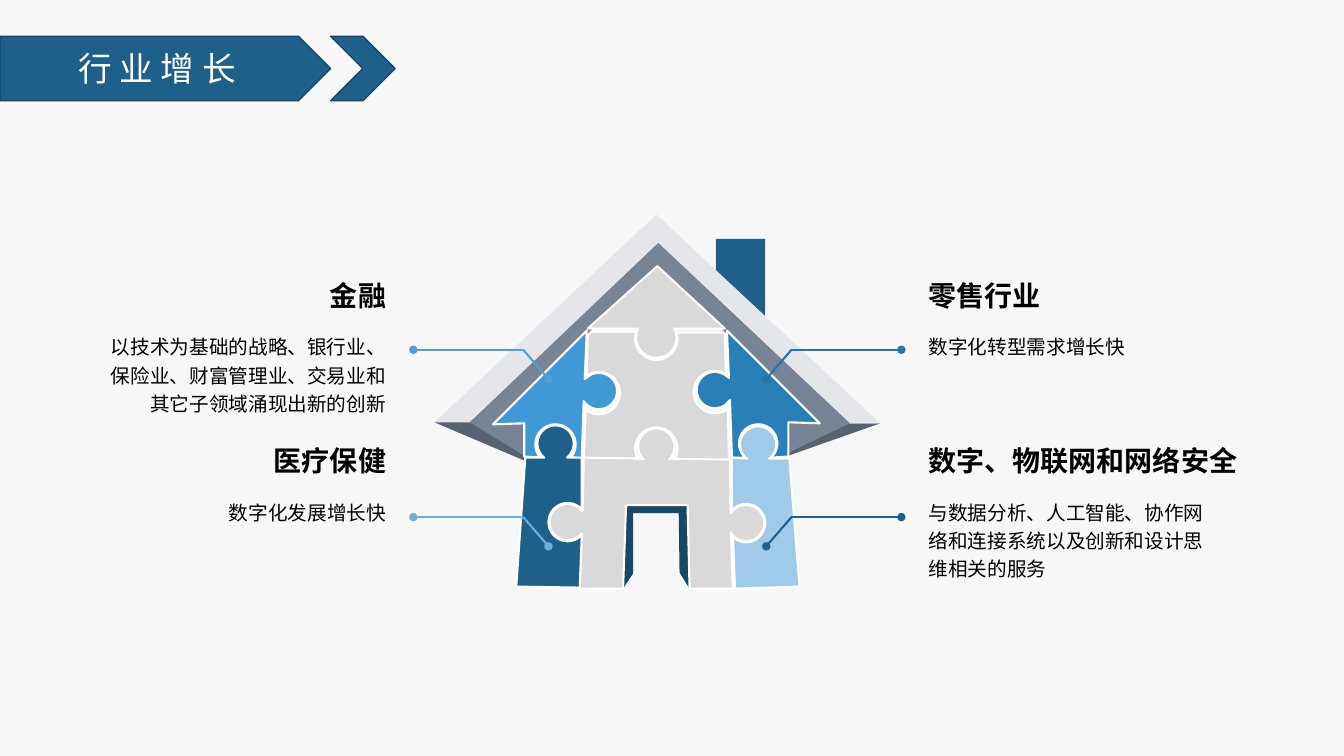
from dataclasses import dataclass
from math import cos, radians, sin

from lxml.etree import SubElement
from pptx import Presentation
from pptx.dml.color import RGBColor
from pptx.enum.shapes import MSO_CONNECTOR as Link, MSO_SHAPE as Preset
from pptx.enum.text import MSO_ANCHOR as Anchor, MSO_AUTO_SIZE as Fit, PP_ALIGN as Align
from pptx.oxml.ns import qn
from pptx.util import Inches, Pt


@dataclass(frozen=True)
class Theme:
    font: str = "Noto Sans CJK SC"
    banner_size: int = 24
    title_size: int = 20
    body_size: int = 14
    piece_line: float = 1.5
    banner_line: float = 1
    paper: str = "F7F7F7"
    ink: str = "000000"
    white: str = "FFFFFF"
    navy: str = "1F608B"
    edge: str = "174767"
    door: str = "174868"
    blue: str = "2980B9"
    azure: str = "4098D4"
    pale: str = "9FCBE9"
    grey: str = "D9D9D9"
    eave: str = "586371"
    roof: str = "E4E6EA"
    rafter: str = "778495"
    speck: str = "9E857F"


@dataclass(frozen=True)
class Knob:
    """Round tab of a jigsaw piece: `gap` is half its open angle, `turn` is 1 for clockwise."""
    x: float
    y: float
    radius: float
    facing: int
    turn: int
    gap: int

    def points(self, steps=32):
        reach = 180 - self.gap
        for step in range(steps + 1):
            angle = radians(self.facing + self.turn * reach * (2 * step / steps - 1))
            yield self.x + self.radius * cos(angle), self.y + self.radius * sin(angle)


THEME = Theme()
WIDTH, HEIGHT = 13.33, 7.5
AXIS = 6.52
RIGHT, DOWN, LEFT, UP = 0, 90, 180, 270

HEADING = "行 业 增 长"
# side, row, title, body, number of body lines, leader colour
SECTORS = [
    (1, 0, "零售行业", "数字化转型需求增长快", 1, "2674A9"),
    (-1, 0, "金融", "以技术为基础的战略、银行业、保险业、财富管理业、交易业和其它子领域涌现出新的创新", 3, "4FA0D7"),
    (1, 1, "数字、物联网和网络安全", "与数据分析、人工智能、协作网络和连接系统以及创新和设计思维相关的服务", 3, THEME.navy),
    (-1, 1, "医疗保健", "数字化发展增长快", 1, "6CAFDE"),
]

CHIMNEY = (7.1, 2.37, 0.49, 0.8)
LINTEL = (6.2, 4.99, 0.64, 0.1)
ROOF = [
    (THEME.eave, [(4.31, 4.19), (5.25, 4.59), (5.25, 4.48), (4.68, 4.14)]),
    (THEME.eave, [(8.4, 4.2), (8.73, 4.2), (7.82, 4.52), (7.82, 4.43)]),
    (THEME.roof, [(8.4, 4.2), (8.73, 4.2), (6.51, 2.13), (4.31, 4.19), (4.66, 4.19), (6.53, 2.44)]),
    (THEME.rafter, [(5.2, 4.52), (4.66, 4.19), (6.53, 2.41), (8.43, 4.2), (7.8, 4.5), (7.82, 4.19),
                    (8.13, 4.2), (6.52, 2.65), (4.91, 4.19), (5.22, 4.2)]),
]
UPPER_PIECES = [
    (THEME.blue, [(7.21, 3.28), (7.23, 3.75), Knob(7.09, 3.87, 0.18, LEFT, -1, 55), (7.24, 3.97),
                  (7.26, 4.54), (7.38, 4.54), Knob(7.52, 4.4, 0.19, UP, 1, 45), (7.66, 4.54),
                  (7.82, 4.53), (7.82, 4.19), (8.13, 4.2)]),
    (THEME.azure, [(5.8, 3.76), (5.82, 3.28), (4.89, 4.21), (5.2, 4.2), (5.2, 4.53), (5.37, 4.54),
                   Knob(5.51, 4.41, 0.2, UP, 1, 45), (5.64, 4.53), (5.77, 4.55), (5.79, 3.98),
                   Knob(5.94, 3.88, 0.18, RIGHT, -1, 45)]),
    (THEME.grey, [(5.83, 3.33), (5.82, 3.74), Knob(5.94, 3.9, 0.21, RIGHT, 1, 52), (5.81, 4.06),
                  (5.79, 4.55), (6.33, 4.55), Knob(6.51, 4.45, 0.21, UP, 1, 61), (6.69, 4.56),
                  (7.23, 4.57), (7.22, 4.05), Knob(7.09, 3.89, 0.21, LEFT, 1, 52), (7.2, 3.72),
                  (7.19, 3.31), (7.17, 3.3), (6.71, 3.3), Knob(6.51, 3.36, 0.21, DOWN, 1, 73),
                  (6.31, 3.29), (5.87, 3.29)]),
]
DOORWAY = [
    (THEME.speck, [(7.17, 3.28), (7.19, 3.29), (7.19, 3.28)]),
    (THEME.speck, [(5.83, 3.27), (5.83, 3.31), (5.87, 3.27)]),
    (THEME.door, [(6.74, 5.68), (6.84, 5.84), (6.83, 4.95), (6.73, 4.97)]),
    (THEME.door, [(6.18, 5.84), (6.28, 5.69), (6.28, 4.99), (6.18, 4.97)]),
]
LOWER_PIECES = [
    (THEME.grey, [(7.24, 4.56), (6.65, 4.55), Knob(6.51, 4.43, 0.18, UP, -1, 45), (6.38, 4.55),
                  (5.79, 4.54), (5.78, 5.07), Knob(5.63, 5.18, 0.18, LEFT, -1, 38), (5.77, 5.3),
                  (5.75, 5.84), (6.18, 5.84), (6.21, 5.01), (6.82, 5.01), (6.84, 5.84), (7.27, 5.84),
                  (7.25, 5.28), Knob(7.4, 5.19, 0.18, RIGHT, -1, 32)]),
    (THEME.pale, [(7.93, 5.82), (7.83, 4.55), (7.63, 4.55), Knob(7.52, 4.41, 0.18, UP, -1, 40),
                  (7.41, 4.55), (7.26, 4.54), (7.26, 5.07), Knob(7.4, 5.19, 0.19, RIGHT, 1, 48),
                  (7.27, 5.31), (7.29, 5.84)]),
    (THEME.navy, [(5.12, 5.82), (5.21, 4.54), (5.4, 4.54), Knob(5.51, 4.4, 0.18, UP, 1, 40),
                  (5.63, 4.54), (5.77, 4.54), (5.77, 5.07), Knob(5.63, 5.18, 0.19, LEFT, -1, 48),
                  (5.77, 5.3), (5.75, 5.83)]),
]
GABLE = [
    (THEME.grey, [(7.19, 3.26), (6.52, 2.64), (5.83, 3.26), (6.32, 3.26),
                  Knob(6.51, 3.35, 0.2, DOWN, -1, 64), (6.69, 3.26)]),
]


def rgb(code):
    return RGBColor.from_string(code)


def paint(shape, fill, line=None, weight=0):
    shape.shadow.inherit = False
    shape.fill.solid()
    shape.fill.fore_color.rgb = rgb(fill)
    if line:
        shape.line.color.rgb = rgb(line)
        shape.line.width = Pt(weight)
    else:
        shape.line.fill.background()


def add_preset(shapes, preset, box, *style):
    shape = shapes.add_shape(preset, *map(Inches, box))
    paint(shape, *style)
    return shape


def add_outlines(shapes, outlines, *line):
    for fill, parts in outlines:
        corners = []
        for part in parts:
            corners.extend(part.points() if isinstance(part, Knob) else [part])
        emu = [(Inches(x), Inches(y)) for x, y in corners]
        builder = shapes.build_freeform(*emu[0])
        builder.add_line_segments(emu[1:], close=True)
        paint(builder.convert_to_shape(), fill, *line)


def add_leader(shapes, start, end, color, dot):
    """Draw one straight leader part; `dot` is the end that carries the oval."""
    leader = shapes.add_connector(Link.STRAIGHT, *map(Inches, start + end))
    leader.line.color.rgb = rgb(color)
    leader.line.width = Pt(THEME.piece_line)
    SubElement(leader.line._get_or_add_ln(), qn(f"a:{dot}"), type="oval")
    SubElement(leader._element.spPr, qn("a:effectLst"))


def write(frame, text, size, color, align, bold=False):
    paragraph = frame.paragraphs[0]
    paragraph.alignment = align
    run = paragraph.add_run()
    run.text = text
    run.font.size, run.font.bold, run.font.name = Pt(size), bold, THEME.font
    run.font.color.rgb = rgb(color)
    SubElement(run.font._element, qn("a:ea"), typeface=THEME.font)
    return paragraph


def add_label(shapes, side, top, width, height, text, size, wrap, bold):
    edge = AXIS + side * 2.69
    left = edge if side > 0 else edge - width
    frame = shapes.add_textbox(*map(Inches, (left, top, width, height))).text_frame
    frame.margin_left = frame.margin_right = frame.margin_top = frame.margin_bottom = 0
    frame.word_wrap = wrap
    frame.auto_size = Fit.SHAPE_TO_FIT_TEXT
    frame.vertical_anchor = Anchor.TOP if wrap else Anchor.MIDDLE
    align = Align.LEFT if side > 0 else Align.RIGHT
    paragraph = write(frame, text, size, THEME.ink, align, bold)
    if wrap:
        paragraph.line_spacing = 1.2


def add_sector(shapes, side, row, title, body, lines, color):
    bend = 3.47 + row * 1.66
    dot, knee, tip = (AXIS + side * reach for reach in (1.08, 1.33, 2.42))
    add_leader(shapes, (dot, bend + 0.29), (knee, bend), color, "headEnd")
    add_leader(shapes, (knee, bend), (tip, bend), color, "tailEnd")
    top = 2.76 + row * 1.64
    add_label(shapes, side, top, len(title) * 0.28, 0.34, title, THEME.title_size, False, True)
    add_label(shapes, side, top + 0.52, 2.81, lines * 0.28, body, THEME.body_size, True, False)


def add_house(shapes):
    piece_line = THEME.white, THEME.piece_line
    add_preset(shapes, Preset.RECTANGLE, CHIMNEY, THEME.navy)
    add_outlines(shapes, ROOF)
    add_outlines(shapes, UPPER_PIECES, *piece_line)
    add_outlines(shapes, DOORWAY)
    add_preset(shapes, Preset.RECTANGLE, LINTEL, THEME.door)
    add_outlines(shapes, LOWER_PIECES, *piece_line)
    for sector in SECTORS:
        add_sector(shapes, *sector)
    add_outlines(shapes, GABLE, *piece_line)


def add_banner(shapes):
    style = THEME.navy, THEME.edge, THEME.banner_line
    plate = add_preset(shapes, Preset.PENTAGON, (0, 0.36, 3.28, 0.64), *style)
    plate.text_frame.vertical_anchor = Anchor.MIDDLE
    write(plate.text_frame, HEADING, THEME.banner_size, THEME.white, Align.CENTER)
    add_preset(shapes, Preset.CHEVRON, (3.28, 0.36, 0.64, 0.64), *style)


def main():
    deck = Presentation()
    deck.slide_width, deck.slide_height = Inches(WIDTH), Inches(HEIGHT)
    slide = deck.slides.add_slide(deck.slide_layouts[6])
    slide.background.fill.solid()
    slide.background.fill.fore_color.rgb = rgb(THEME.paper)
    add_house(slide.shapes.add_group_shape().shapes)
    add_banner(slide.shapes.add_group_shape().shapes)
    deck.save("out.pptx")


if __name__ == "__main__":
    main()
